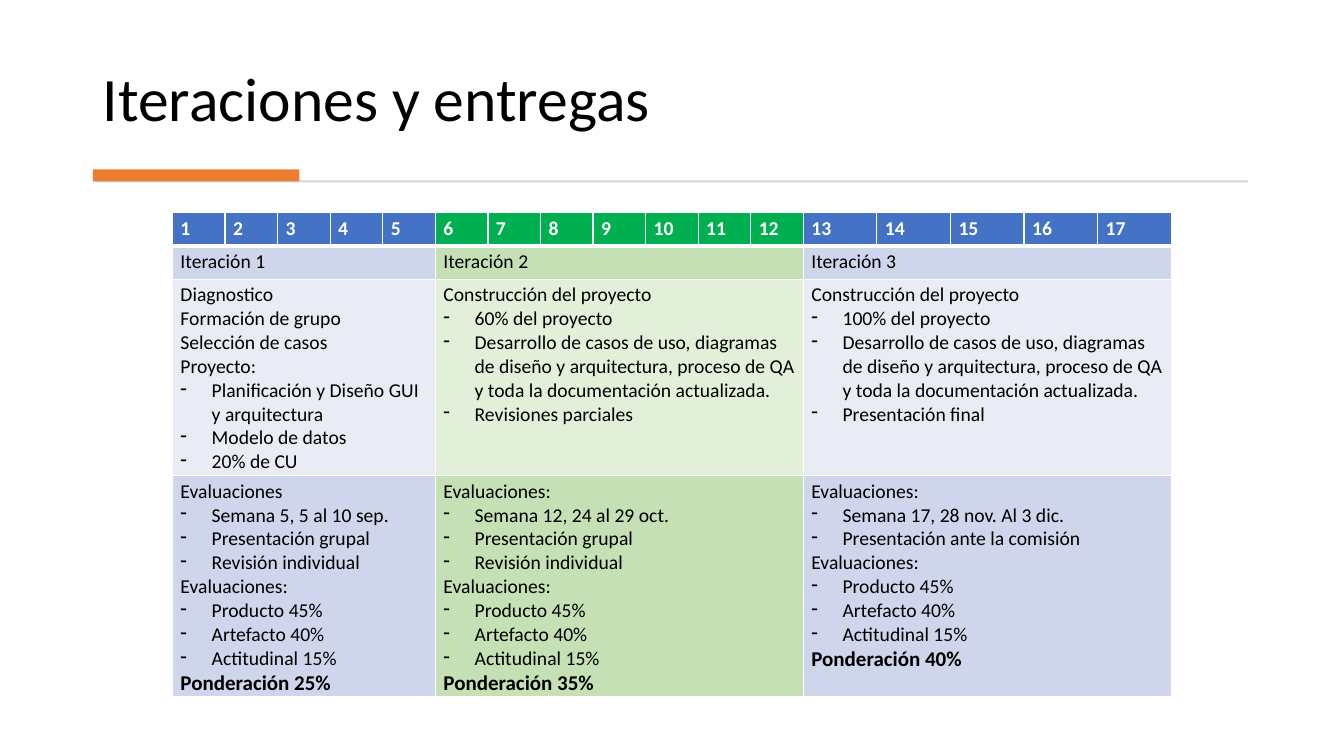
from lxml.etree import SubElement
from pptx import Presentation
from pptx.dml.color import RGBColor
from pptx.enum.shapes import MSO_SHAPE
from pptx.enum.text import MSO_ANCHOR
from pptx.oxml.ns import qn
from pptx.util import Inches, Pt

TITLE = "Iteraciones y entregas"
DESIGN = ("- Desarrollo de casos de uso, diagramas de diseño y arquitectura, "
          "proceso de QA y toda la documentación actualizada.")
SCORES = ["Evaluaciones:", "- Producto 45%", "- Artefacto 40%", "- Actitudinal 15%"]
GROUP_REVIEW = ["- Presentación grupal", "- Revisión individual"]
BLUES = ("4472C4", "CFD5EA", "E9EBF5", "CFD5EA")
GREENS = ("00B050", "C5E0B4", "E2F0D9", "C5E0B4")
ITERATIONS = [
    {"weeks": 5, "width": 2.61, "fills": BLUES,
     "work": ["Diagnostico", "Formación de grupo", "Selección de casos", "Proyecto:",
              "- Planificación y Diseño GUI y arquitectura", "- Modelo de datos",
              "- 20% de CU"],
     "grading": ["Evaluaciones", "- Semana 5, 5 al 10 sep.", *GROUP_REVIEW, *SCORES],
     "weight": "Ponderación 25%"},
    {"weeks": 7, "width": 3.65, "fills": GREENS,
     "work": ["Construcción del proyecto", "- 60% del proyecto", DESIGN,
              "- Revisiones parciales"],
     "grading": ["Evaluaciones:", "- Semana 12, 24 al 29 oct.", *GROUP_REVIEW, *SCORES],
     "weight": "Ponderación 35%"},
    {"weeks": 5, "width": 3.65, "fills": BLUES,
     "work": ["Construcción del proyecto", "- 100% del proyecto", DESIGN,
              "- Presentación final"],
     "grading": ["Evaluaciones:", "- Semana 17, 28 nov. Al 3 dic.",
                 "- Presentación ante la comisión", *SCORES],
     "weight": "Ponderación 40%"},
]
ROW_HEIGHTS = (0.33, 0.33, 1.92, 2.18)
RULES = [((0.95, 1.79, 11.43, 0.02), "D5D5D5"), ((0.92, 1.68, 2.05, 0.12), "ED7D31")]


def color(code):
    return RGBColor.from_string(code)


def write(frame, text, size=14, ink="000000", bold=False, spacing=None):
    first = frame.paragraphs[0]
    paragraph = frame.add_paragraph() if first.runs else first
    if spacing:
        paragraph.line_spacing = spacing
    if text.startswith("- "):
        text = text[2:]
        properties = paragraph._p.get_or_add_pPr()
        properties.set("marL", str(Inches(0.31)))
        properties.set("indent", str(Inches(-0.31)))
        SubElement(properties, qn("a:buFontTx"))
        SubElement(properties, qn("a:buChar"), char="-")
    run = paragraph.add_run()
    run.text = text
    run.font.name, run.font.size, run.font.bold = "Calibri", Pt(size), bold
    run.font.color.rgb = color(ink)


def style_cell(cell, fill, row):
    cell.margin_left = cell.margin_right = Inches(0.08)
    cell.margin_top = cell.margin_bottom = Inches(0.04)
    properties = cell._tc.get_or_add_tcPr()
    for side in ("L", "R", "T", "B"):
        heavy = (row, side) in ((0, "B"), (1, "T"))
        line = SubElement(properties, qn(f"a:ln{side}"), w=str(Pt(3 if heavy else 1)))
        SubElement(SubElement(line, qn("a:solidFill")), qn("a:srgbClr"), val="FFFFFF")
    cell.fill.solid()
    cell.fill.fore_color.rgb = color(fill)


def add_title(slide):
    box = slide.shapes.add_textbox(*map(Inches, (0.92, 0.28, 11.49, 1.11)))
    box.text_frame.word_wrap = True
    box.text_frame.vertical_anchor = MSO_ANCHOR.BOTTOM
    write(box.text_frame, TITLE, size=44, spacing=0.9)
    for place, fill in RULES:
        bar = slide.shapes.add_shape(MSO_SHAPE.RECTANGLE, *map(Inches, place))
        bar.shadow.inherit = False
        bar.fill.solid()
        bar.fill.fore_color.rgb = color(fill)
        bar.line.fill.background()


def add_schedule(slide):
    weeks = sum(iteration["weeks"] for iteration in ITERATIONS)
    width = sum(iteration["width"] for iteration in ITERATIONS)
    schedule = slide.shapes.add_table(
        len(ROW_HEIGHTS), weeks,
        *map(Inches, (1.71, 2.11, width, sum(ROW_HEIGHTS)))).table
    for row, height in zip(schedule.rows, ROW_HEIGHTS):
        row.height = Inches(height)
    start = 0
    for number, iteration in enumerate(ITERATIONS, 1):
        end = start + iteration["weeks"]
        for week in range(start, end):
            schedule.columns[week].width = Inches(iteration["width"] / iteration["weeks"])
            for row, fill in enumerate(iteration["fills"]):
                style_cell(schedule.cell(row, week), fill, row)
            write(schedule.cell(0, week).text_frame, str(week + 1), ink="FFFFFF", bold=True)
        blocks = ([f"Iteración {number}"], iteration["work"], iteration["grading"])
        for row, lines in enumerate(blocks, 1):
            cell = schedule.cell(row, start)
            cell.merge(schedule.cell(row, end - 1))
            for line in lines:
                write(cell.text_frame, line)
        write(cell.text_frame, iteration["weight"], size=15, bold=True)
        start = end


def main():
    """Build the slide of iterations and deliveries."""
    deck = Presentation()
    deck.slide_width, deck.slide_height = Inches(13.33), Inches(7.5)
    slide = deck.slides.add_slide(deck.slide_layouts[6])
    add_title(slide)
    add_schedule(slide)
    deck.save("out.pptx")


if __name__ == "__main__":
    main()
